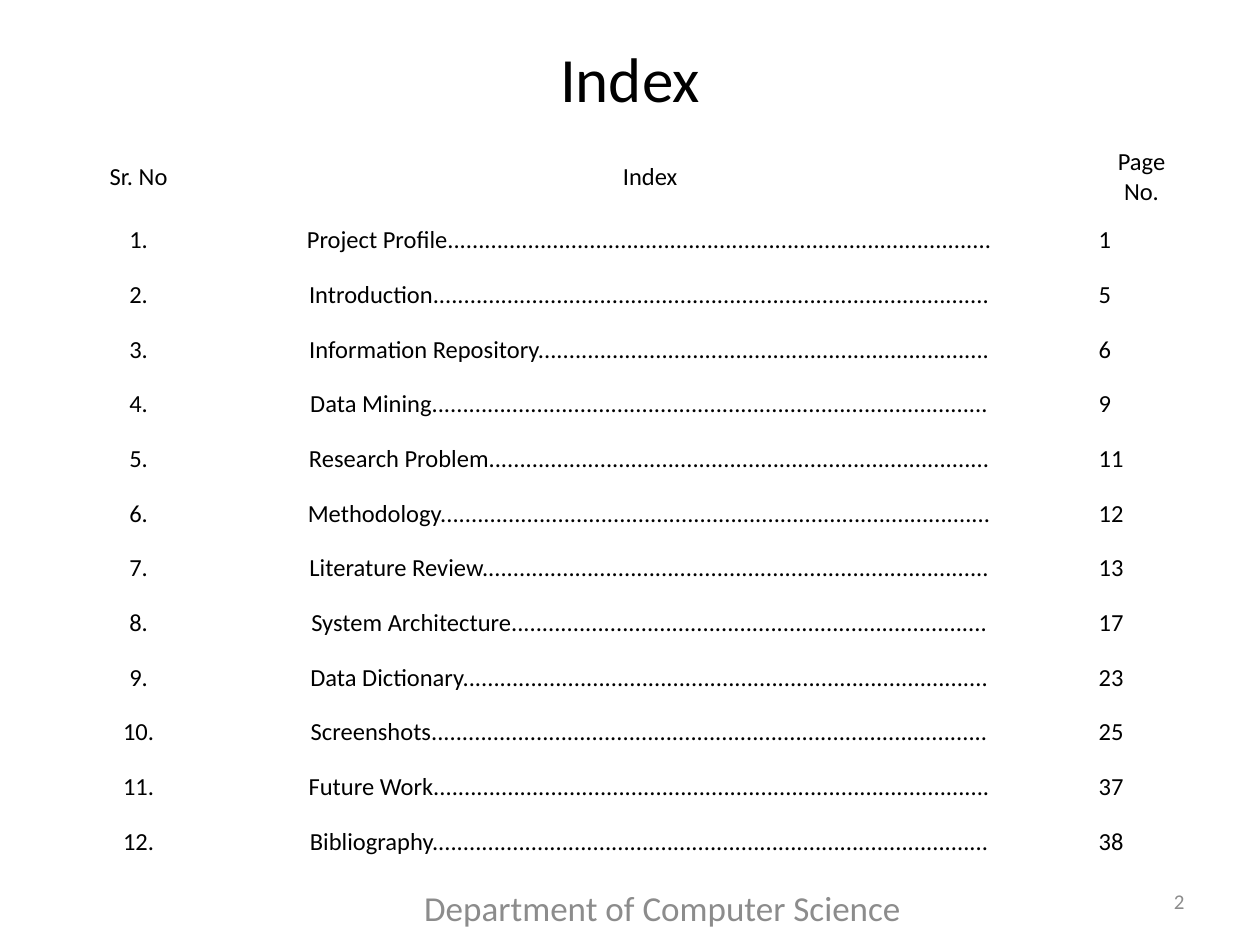
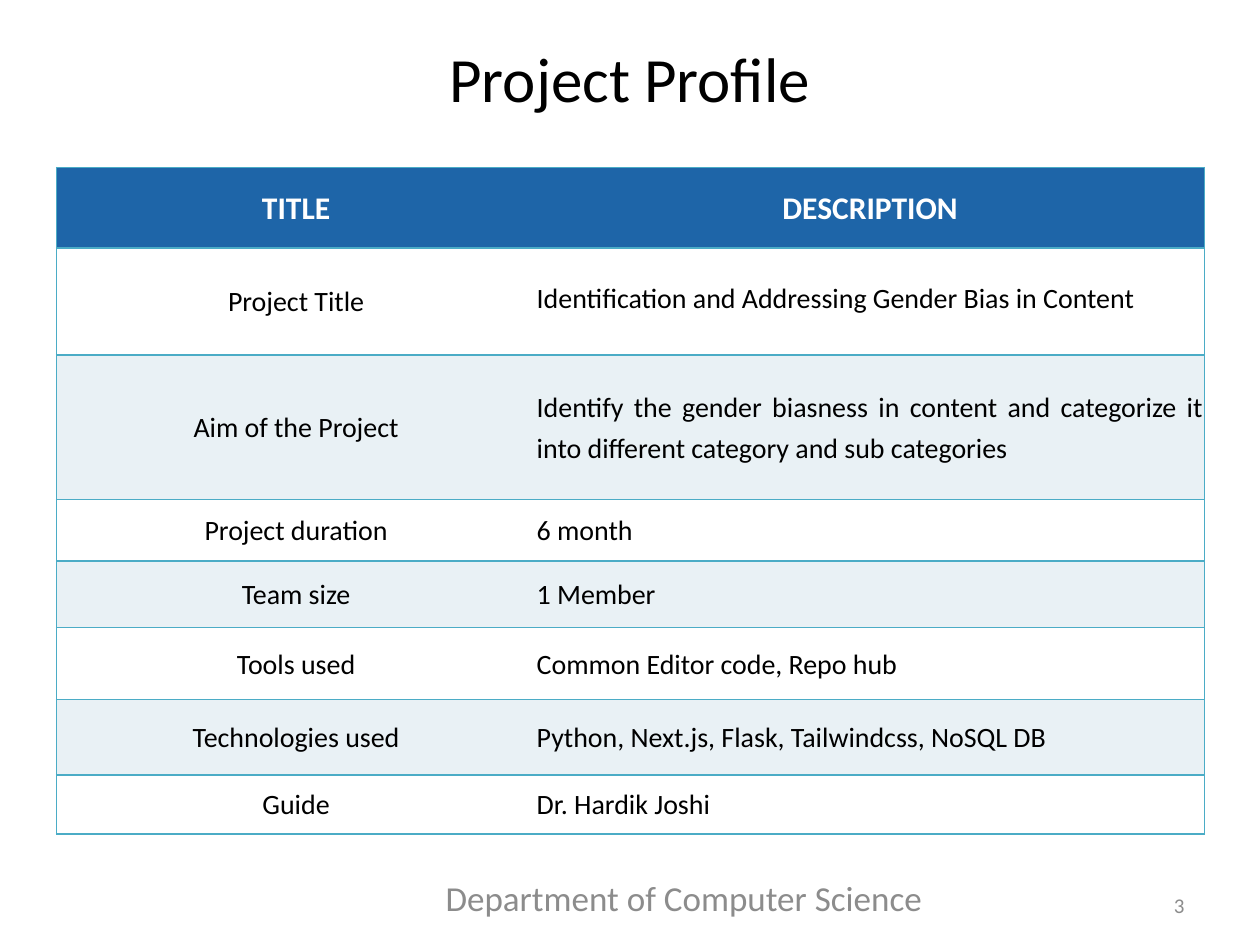
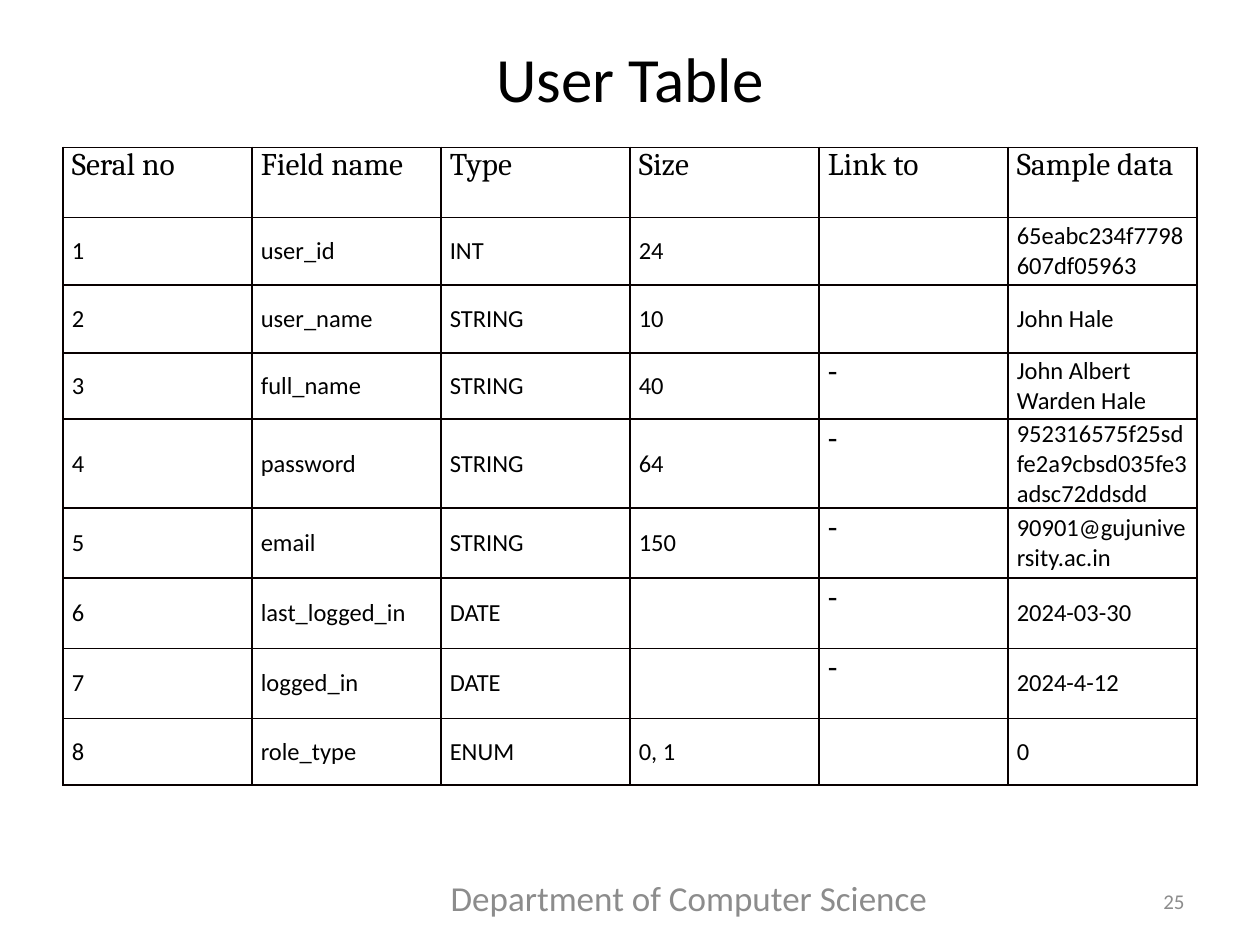
from itertools import chain, repeat

from pptx import Presentation
from pptx import util as u
from pptx.dml.color import RGBColor
from pptx.enum import text
from pptx.oxml import parse_xml
from pptx.oxml.ns import nsdecls

BLACK = RGBColor(0x00, 0x00, 0x00)
WHITE = RGBColor(0xFF, 0xFF, 0xFF)
GREY = RGBColor(0x8C, 0x8C, 0x8C)
BLUE = RGBColor(0x1E, 0x65, 0xA8)
TEAL = RGBColor(0x4B, 0xAC, 0xC6)
PALE = RGBColor(0xE9, 0xF1, 0xF5)
RULE = RGBColor(0x08, 0x00, 0x00)

LEFT, CENTER, RIGHT, JUSTIFY = (
    text.PP_ALIGN.LEFT, text.PP_ALIGN.CENTER, text.PP_ALIGN.RIGHT, text.PP_ALIGN.JUSTIFY)
TOP, MIDDLE = text.MSO_ANCHOR.TOP, text.MSO_ANCHOR.MIDDLE

# The slide is a grid of 100 columns by 75 rows
SLIDE_W, SLIDE_H = u.Inches(10), u.Inches(7.5)
UNIT = SLIDE_W // 100

TITLE_BOX = (5, 2.2, 90, 7.9)
INDEX_BOX = (5, 11.2, 90, 57.8)
PROFILE_BOX = (4.5, 13.3, 91.1, 52.9)
USER_BOX = (5, 11.7, 90, 50.6)

# Entry, number of leader dots, page
INDEX = [
    ("Project Profile", 88, "1"),
    ("Introduction", 90, "5"),
    ("Information Repository", 73, "6"),
    ("Data Mining", 90, "9"),
    ("Research Problem", 81, "11"),
    ("Methodology", 89, "12"),
    ("Literature Review", 82, "13"),
    ("System Architecture", 77, "17"),
    ("Data Dictionary", 85, "23"),
    ("Screenshots", 90, "25"),
    ("Future Work", 90, "37"),
    ("Bibliography", 90, "38"),
]

PROFILE = [
    ("TITLE", "DESCRIPTION"),
    ("Project Title", "Identification and Addressing Gender Bias in Content"),
    ("Aim of the Project", "Identify the gender biasness in content and categorize it "
                           "into different category and sub categories"),
    ("Project duration", "6 month"),
    ("Team size", "1 Member"),
    ("Tools used", "Common Editor code, Repo hub"),
    ("Technologies used", "Python, Next.js, Flask, Tailwindcss, NoSQL DB"),
    ("Guide", "Dr. Hardik Joshi"),
]

USER_FIELDS = [
    ("Seral no", "Field name", "Type", "Size", "Link to", "Sample data"),
    ("1", "user_id", "INT", "24", "", "65eabc234f7798607df05963"),
    ("2", "user_name", "STRING", "10", "", "John Hale"),
    ("3", "full_name", "STRING", "40", "-", "John Albert Warden Hale"),
    ("4", "password", "STRING", "64", "-", "952316575f25sdfe2a9cbsd035fe3adsc72ddsdd"),
    ("5", "email", "STRING", "150", "-", "90901@gujuniversity.ac.in"),
    ("6", "last_logged_in", "DATE", "", "-", "2024-03-30"),
    ("7", "logged_in", "DATE", "", "-", "2024-4-12"),
    ("8", "role_type", "ENUM", "0, 1", "", "0"),
]
LINK_COL = 4


def place(box):
    return [round(v * UNIT) for v in box]


def style(tf, words, size, color=BLACK, align=LEFT, font="Calibri", bold=False, spacing=None):
    tf.text = words
    p = tf.paragraphs[0]
    p.alignment = align
    if spacing:
        p.line_spacing = spacing
    p.font.size = u.Pt(size)
    for r in p.runs:
        r.font.size = u.Pt(size)
        r.font.name = font
        r.font.bold = bold
        r.font.color.rgb = color


def add_text(slide, box, words, size, color, align):
    tf = slide.shapes.add_textbox(*place(box)).text_frame
    tf.word_wrap = True
    tf.vertical_anchor = MIDDLE
    style(tf, words, size, color, align)


def add_frame(prs, title, page, footer_box, page_top):
    """Blank slide with its title, footer and page number."""
    slide = prs.slides.add_slide(prs.slide_layouts[6])
    add_text(slide, TITLE_BOX, title, 36, BLACK, CENTER)
    add_text(slide, footer_box, "Department of Computer Science ", 20, GREY, CENTER)
    add_text(slide, (71.7, page_top, 23.3, 4), page, 12, GREY, RIGHT)
    return slide


def add_grid(slide, box, col_shares, row_shares):
    """Plain table whose columns and rows share out the box."""
    x, y, w, h = place(box)
    table = slide.shapes.add_table(len(row_shares), len(col_shares), x, y, w, h).table
    table.first_row = table.horz_banding = False
    for col, share in zip(table.columns, col_shares):
        col.width = round(w * share / sum(col_shares))
    for row, share in zip(table.rows, row_shares):
        row.height = round(h * share / sum(row_shares))
    return table


def dress(cell, border, sides="LRTB", fill=None, anchor=MIDDLE, insets=None):
    """Borders on the named sides, then fill, anchor and margins (l, t, r, b)."""
    tc_pr = cell._tc.get_or_add_tcPr()
    for side in "LRTB":
        paint = (f'<a:solidFill><a:srgbClr val="{border}"/></a:solidFill>'
                 if side in sides else "<a:noFill/>")
        tc_pr.append(parse_xml(f'<a:ln{side} {nsdecls("a")} w="12700">{paint}</a:ln{side}>'))
    if fill is None:
        cell.fill.background()
    else:
        cell.fill.solid()
        cell.fill.fore_color.rgb = fill
    cell.vertical_anchor = anchor
    if insets:
        (cell.margin_left, cell.margin_top,
         cell.margin_right, cell.margin_bottom) = map(u.Inches, insets)


def index_table(slide, box):
    rows = [("Sr. No", "Index", "Page No.")]
    rows += [(f"{n}.", name + "." * dots, page)
             for n, (name, dots, page) in enumerate(INDEX, 1)]
    table = add_grid(slide, box, (12, 69.2, 8.8), list(chain([5.7], repeat(5.2 / 1.2, len(INDEX)))))
    for i, row in enumerate(rows):
        for j, words in enumerate(row):
            cell = table.cell(i, j)
            dress(cell, WHITE)
            style(cell.text_frame, words, 14, align=LEFT if i and j == 2 else CENTER)


def profile_table(slide, box):
    table = add_grid(slide, box, (38, 53.1), (6.4, 8.5, 11.5, 4.9, 5.3, 5.7, 6, 4.7))
    for i, row in enumerate(PROFILE):
        header = i == 0
        fill = BLUE if header else (PALE, WHITE)[i % 2]
        for j, words in enumerate(row):
            cell = table.cell(i, j)
            dress(cell, TEAL, ("LTB", "RTB")[j], fill, insets=(0.01, 0.01, 0.01, 0.05))
            project_name = (i, j) == (1, 1)
            align = CENTER if header or j == 0 else LEFT if project_name else JUSTIFY
            style(cell.text_frame, words, 18 if header else 16, WHITE if header else BLACK,
                  align, bold=header, spacing=None if project_name else 1.2)


def user_table(slide, box):
    table = add_grid(slide, box, [1] * 6, (5.6, 5.4, 5.4, 5.3, 7.1, 5.6, 5.6, 5.6, 5.3))
    for i, row in enumerate(USER_FIELDS):
        for j, words in enumerate(row):
            cell = table.cell(i, j)
            large = i == 0 or j == LINK_COL
            dress(cell, RULE, anchor=TOP if large else MIDDLE, insets=(0.07, 0, 0.07, 0))
            style(cell.text_frame, words, 18 if large else 14,
                  font="Cambria" if i == 0 else "Calibri")


def main():
    prs = Presentation()
    prs.slide_width, prs.slide_height = SLIDE_W, SLIDE_H
    index_table(add_frame(prs, "Index", "2", (28.3, 70, 49.2, 4), 69.5), INDEX_BOX)
    profile_table(add_frame(prs, "Project Profile", "3", (28.3, 69.2, 52.6, 4), 69.8), PROFILE_BOX)
    user_table(add_frame(prs, "User Table", "25", (28.3, 69.2, 53.4, 4), 69.5), USER_BOX)
    prs.save("out.pptx")


if __name__ == "__main__":
    main()
